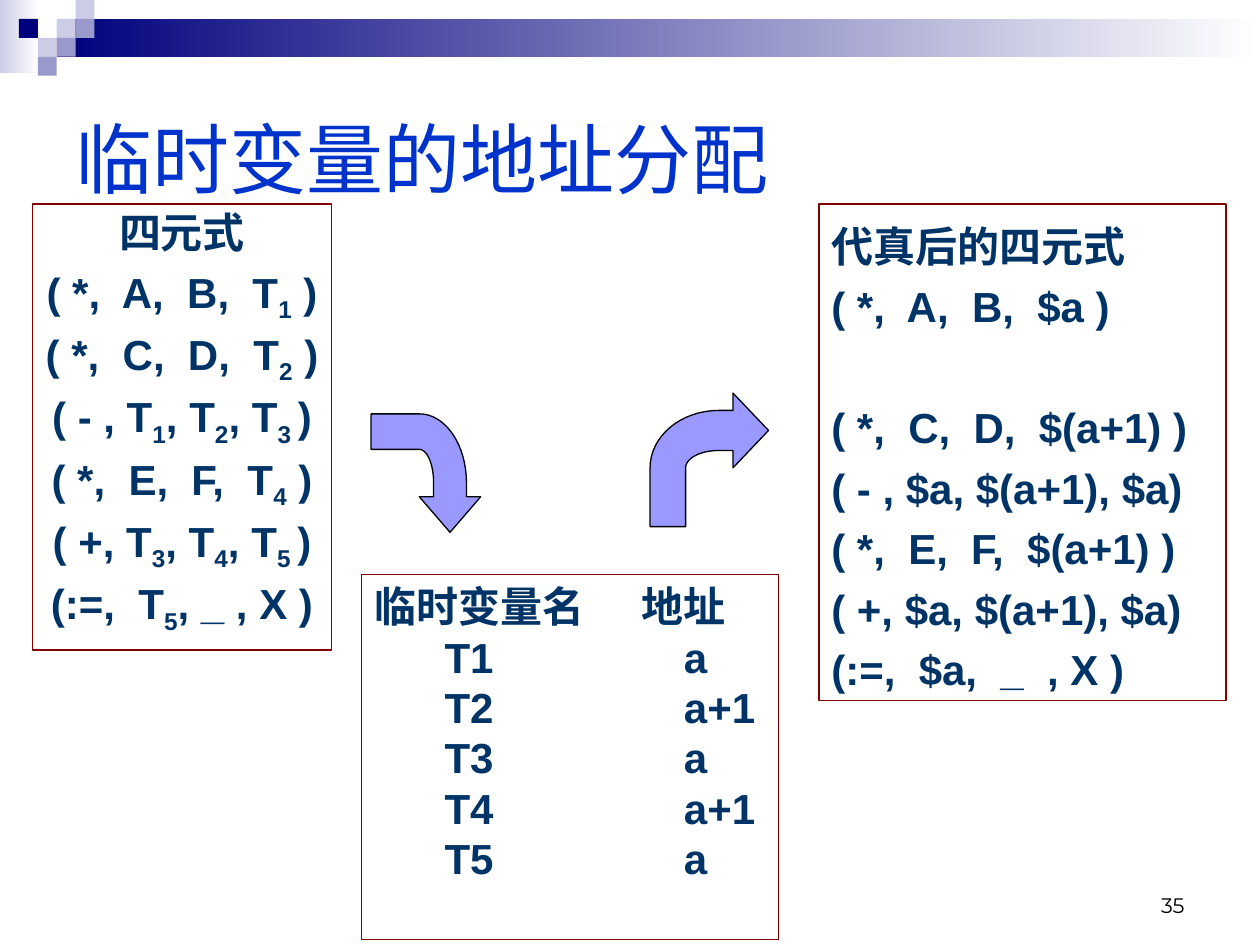
import math

from lxml import etree
from pptx import Presentation
from pptx.dml.color import RGBColor
from pptx.enum.shapes import MSO_SHAPE
from pptx.enum.text import MSO_ANCHOR, PP_ALIGN
from pptx.oxml.ns import qn
from pptx.util import Inches, Pt

LEFT, CENTER, RIGHT = PP_ALIGN.LEFT, PP_ALIGN.CENTER, PP_ALIGN.RIGHT
TOP, MIDDLE, BOTTOM = MSO_ANCHOR.TOP, MSO_ANCHOR.MIDDLE, MSO_ANCHOR.BOTTOM
RECTANGLE = MSO_SHAPE.RECTANGLE

COLORS = {
    "navy": "00007D", "pale": "CCCCE6", "mid": "9999CC", "white": "FFFFFF",
    "title": "0033CC", "text": "003366", "frame": "800000",
    "arrow": "9999FF", "black": "000000",
}
CJK_FONT = "Noto Sans CJK SC"

TITLE = "临时变量的地址分配"
# Text between underscores-free markers "~" is subscript.
QUADS = [
    "四元式",
    "( *,  A,  B,  T~1~ )",
    "( *,  C,  D,  T~2~ )",
    "( - , T~1~, T~2~, T~3 ~)",
    "( *,  E,  F,  T~4~ )",
    "( +, T~3~, T~4~, T~5 ~)",
    "(:=,  T~5~, _ , X )",
]
ADDRESS_HEADER = ("临时变量名", "地址")
ADDRESSES = [("T1", "a"), ("T2", "a+1"), ("T3", "a"), ("T4", "a+1"), ("T5", "a")]
RESULT_HEADER = "代真后的四元式"
RESULT_FIRST = "( *,  A,  B,  $a )"
RESULT_REST = [
    "( *,  C,  D,  $(a+1) )",
    "( - , $a, $(a+1), $a)",
    "( *,  E,  F,  $(a+1) )",
    "( +, $a, $(a+1), $a)",
    "(:=,  $a,  _  , X )",
]
PAGE_NUMBER = "35"

# Corner mosaic: column, row, colour on a grid of square cells
CELL = 0.15
MOSAIC = [(3, 1, "pale"), (4, 0, "pale"), (4, 1, "mid"), (2, 2, "pale"),
          (1, 1, "navy"), (3, 2, "mid"), (2, 3, "mid")]
BANDS = [((0, 0, 0.31, 0.58), "pale"), ((0.45, CELL, 9.55, 2 * CELL), "navy")]
# Position and rotation of the two bent arrows
ARROWS = [((2.91, 3.32, 0.94, 0.87), 90), ((5.16, 3.12, 0.94, 1.06), 0)]


def color(name):
    return RGBColor.from_string(COLORS[name])


def add_block(slide, area, fill, fade=False):
    block = slide.shapes.add_shape(RECTANGLE, *map(Inches, area))
    block.shadow.inherit = False
    block.line.fill.background()
    if fade:
        block.fill.gradient()
        block.fill.gradient_angle = 0
        for stop, name, place in zip(block.fill.gradient_stops, (fill, "white"), (0, 1)):
            stop.color.rgb = color(name)
            stop.position = place
    else:
        block.fill.solid()
        block.fill.fore_color.rgb = color(fill)


def add_box(slide, area, frame=True, anchor=TOP, side=0.1):
    box = slide.shapes.add_textbox(*map(Inches, area))
    if frame:
        box.line.color.rgb = color("frame")
        box.line.width = Pt(0.75)
    text = box.text_frame
    text.word_wrap = True
    text.vertical_anchor = anchor
    text.margin_left = text.margin_right = Inches(side)
    return text


def write(text_frame, text, size=24, font="Arial", fill="text", bold=True,
          align=LEFT, spacing=1.0, before=0, tabs=()):
    """Add one paragraph, reusing the empty first one; ~ toggles subscript."""
    para = text_frame.paragraphs[0]
    if para.runs:
        para = text_frame.add_paragraph()
        para.space_before = Pt(before)
    para.alignment = align
    para.line_spacing = spacing
    if tabs:
        tab_list = etree.SubElement(para._p.get_or_add_pPr(), qn("a:tabLst"))
        for stop in tabs:
            etree.SubElement(tab_list, qn("a:tab"), pos=str(Inches(stop)), algn="l")
    for index, part in enumerate(text.split("~")):
        span = para.add_run()
        span.text = part
        span.font.size = Pt(size)
        span.font.name = font
        span.font.bold = bold
        span.font.color.rgb = color(fill)
        properties = span.font._element
        etree.SubElement(properties, qn("a:ea"), typeface=CJK_FONT)
        if index % 2:
            properties.set("baseline", "-25000")


def quarter_arc(center, radii, start, turn, steps=16):
    angles = [math.radians(start + turn * step / steps) for step in range(steps + 1)]
    return [(center[0] + radii[0] * math.cos(angle), center[1] + radii[1] * math.sin(angle))
            for angle in angles]


def add_bent_arrow(slide, area, rotation):
    left, top, width, height = area
    bend, neck, elbow, shaft = (0.58, 0.56), 0.7, 0.56, 0.3
    outer, inner = 0.13, 0.43
    outline = [(1, 0.28), (neck, 0), (neck, outer)]
    outline += quarter_arc(bend, (bend[0], elbow - outer), 270, -90)
    outline += [(0, 1), (shaft, 1)]
    outline += quarter_arc(bend, (bend[0] - shaft, elbow - inner), 180, 90)
    outline += [(neck, inner), (neck, elbow)]
    points = [(Inches(left + x * width), Inches(top + y * height)) for x, y in outline]
    builder = slide.shapes.build_freeform(*points[0])
    builder.add_line_segments(points[1:], close=True)
    arrow = builder.convert_to_shape()
    arrow.shadow.inherit = False
    arrow.fill.solid()
    arrow.fill.fore_color.rgb = color("arrow")
    arrow.line.color.rgb = color("black")
    arrow.line.width = Pt(0.75)
    arrow.rotation = rotation


def main():
    deck = Presentation()
    deck.slide_width, deck.slide_height = Inches(10), Inches(7.5)
    slide = deck.slides.add_slide(deck.slide_layouts[5])

    for area, fill in BANDS:
        add_block(slide, area, fill, fade=True)
    for column, row, fill in MOSAIC:
        add_block(slide, (column * CELL, row * CELL, CELL, CELL), fill)

    title = slide.shapes.title
    title.left, title.top, title.width, title.height = map(Inches, (0.5, 0.5, 9, 1.5))
    title.text_frame.vertical_anchor = MIDDLE
    write(title.text_frame, TITLE, size=44, fill="title", bold=False)

    quads = add_box(slide, (0.26, 1.62, 2.37, 3.54), side=0.05)
    for line in QUADS:
        write(quads, line, align=CENTER, spacing=0.95, before=4.5)

    addresses = add_box(slide, (2.87, 4.56, 3.31, 2.9))
    write(addresses, "\t".join(ADDRESS_HEADER), tabs=(2.12,))
    for row in ADDRESSES:
        write(addresses, "\t" + "\t".join(row), tabs=(0.56, 2.46))

    result = add_box(slide, (6.5, 1.62, 3.23, 3.94))
    write(result, RESULT_HEADER, font=CJK_FONT, spacing=1.2)
    write(result, RESULT_FIRST, spacing=1.2)
    for index, line in enumerate(RESULT_REST):
        write(result, line, spacing=1.2, before=0 if index else 34.6)

    for area, rotation in ARROWS:
        add_bent_arrow(slide, area, rotation)

    number = add_box(slide, (7.17, 6.83, 2.33, 0.5), frame=False, anchor=BOTTOM)
    write(number, PAGE_NUMBER, size=12, font="Montserrat", fill="black",
          bold=False, align=RIGHT)

    deck.save("out.pptx")


if __name__ == "__main__":
    main()
